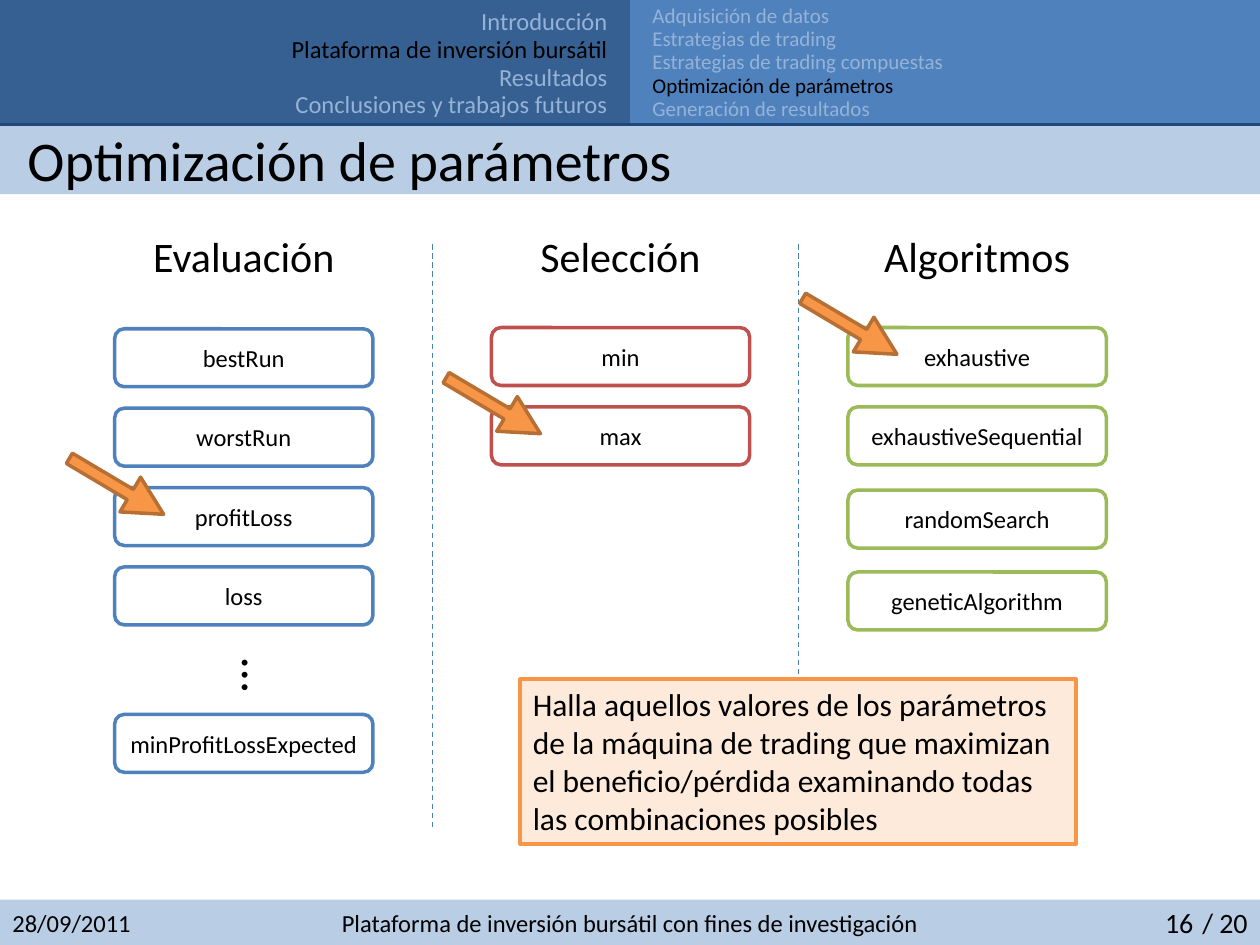
"""Build the slide on parameter optimisation: evaluation, selection and algorithms."""
from lxml.etree import SubElement
from pptx import Presentation
from pptx.dml.color import RGBColor
from pptx.enum.dml import MSO_LINE
from pptx.enum.shapes import MSO_CONNECTOR, MSO_SHAPE
from pptx.enum.text import MSO_ANCHOR, PP_ALIGN
from pptx.oxml.ns import qn
from pptx.util import Inches, Pt

FONT = "Calibri"
COLORS = {
    "black": "000000", "white": "FFFFFF", "muted": "95B3D7", "navy": "376092",
    "blue": "4F81BD", "pale": "B9CDE5", "rule": "1F497D", "divider": "4B7EBC",
    "red": "C0504D", "green": "9BBB59", "orange": "F79646",
    "brown": "B76F34", "peach": "FDEADA",
}
LEFT, CENTER, RIGHT = PP_ALIGN.LEFT, PP_ALIGN.CENTER, PP_ALIGN.RIGHT
TOP, MIDDLE = MSO_ANCHOR.TOP, MSO_ANCHOR.MIDDLE

BANDS = [
    (0, 0, 10, 0.99, "blue"),
    (0, 0, 5, 0.99, "navy"),
    (0, 7.14, 10, 0.36, "pale"),
    (0, 0.99, 10, 0.55, "pale"),
]
MENUS = [
    {"left": 0, "top": 0, "step": 0.22, "height": 0.34, "size": 14, "align": RIGHT,
     "current": "Plataforma de inversión bursátil",
     "items": ["Introducción", "Plataforma de inversión bursátil", "Resultados",
               "Conclusiones y trabajos futuros"]},
    {"left": 5.08, "top": -0.03, "step": 0.185, "height": 0.3, "size": 12, "align": LEFT,
     "current": "Optimización de parámetros",
     "items": ["Adquisición de datos", "Estrategias de trading",
               "Estrategias de trading compuestas", "Optimización de parámetros",
               "Generación de resultados"]},
]
TITLE = "Optimización de parámetros"
COLUMNS = [
    {"heading": "Evaluación", "left": 0.91, "color": "blue", "chosen": "profitLoss",
     "options": [("bestRun", 2.61), ("worstRun", 3.24), ("profitLoss", 3.87),
                 ("loss", 4.5), ("minProfitLossExpected", 5.67)]},
    {"heading": "Selección", "left": 3.9, "color": "red", "chosen": "max",
     "options": [("min", 2.6), ("max", 3.23)]},
    {"heading": "Algoritmos", "left": 6.73, "color": "green", "chosen": "exhaustive",
     "options": [("exhaustive", 2.6), ("exhaustiveSequential", 3.23),
                 ("randomSearch", 3.89), ("geneticAlgorithm", 4.54)]},
]
DIVIDERS = [3.43, 6.34]
SUMMARY = ("Halla aquellos valores de los parámetros de la máquina de trading que maximizan "
           "el beneficio/pérdida examinando todas las combinaciones posibles")
FOOTER = [
    ("28/09/2011", 0, 2.33, 14, LEFT),
    ("Plataforma de inversión bursátil con fines de investigación", 2.4, 5.2, 14, CENTER),
    ("16", 7.67, 1.9, 16, RIGHT),
    ("/ 20", 9.41, 0.59, 16, RIGHT),
]
OPTION_WIDTH, OPTION_HEIGHT = 2.05, 0.46
HEADING_WIDTH = 2.44


def rgb(name):
    return RGBColor.from_string(COLORS[name])


def write(shape, text, size, align=LEFT, anchor=TOP, color="black", wrap=True):
    frame = shape.text_frame
    frame.word_wrap = wrap
    frame.vertical_anchor = anchor
    para = frame.paragraphs[0]
    para.alignment = align
    span = para.add_run()
    span.text = text
    span.font.name, span.font.size = FONT, Pt(size)
    span.font.color.rgb = rgb(color)


def add_text(page, area, text, size, **style):
    box = page.shapes.add_textbox(*map(Inches, area))
    write(box, text, size, **style)
    return box


def add_box(page, kind, area, fill, line=None, width=2):
    box = page.shapes.add_shape(kind, *map(Inches, area))
    box.shadow.inherit = False
    box.fill.solid()
    box.fill.fore_color.rgb = rgb(fill)
    if line:
        box.line.color.rgb = rgb(line)
        box.line.width = Pt(width)
    else:
        box.line.fill.background()
    return box


def add_line(page, ends, color, width, dash=None):
    line = page.shapes.add_connector(MSO_CONNECTOR.STRAIGHT, *map(Inches, ends))
    line.line.color.rgb = rgb(color)
    line.line.width = Pt(width)
    if dash:
        line.line.dash_style = dash
    SubElement(line._element.spPr, qn("a:effectLst"))


def add_frame(page):
    for *area, color in BANDS:
        add_box(page, MSO_SHAPE.RECTANGLE, area, color)
    add_line(page, (0, 0.99, 10, 0.99), "rule", 1.5)
    add_text(page, (0.12, 0.99, 9.76, 0.55), TITLE, 32, anchor=MIDDLE)
    for text, left, width, size, align in FOOTER:
        add_text(page, (left, 7.14, width, 0.36), text, size, align=align, anchor=MIDDLE)
    for menu in MENUS:
        for row, item in enumerate(menu["items"]):
            area = (menu["left"], menu["top"] + row * menu["step"], 4.92, menu["height"])
            color = "black" if item == menu["current"] else "muted"
            add_text(page, area, item, menu["size"], align=menu["align"], color=color)


def add_column(page, column):
    left = column["left"]
    heading_left = left + (OPTION_WIDTH - HEADING_WIDTH) / 2
    add_text(page, (heading_left, 1.78, HEADING_WIDTH, 0.5), column["heading"], 24,
             align=CENTER)
    for label, top in column["options"]:
        option = add_box(page, MSO_SHAPE.ROUNDED_RECTANGLE,
                         (left, top, OPTION_WIDTH, OPTION_HEIGHT), "white", column["color"])
        write(option, label, 14, align=CENTER, anchor=MIDDLE)
    chosen_top = dict(column["options"])[column["chosen"]]
    arrow = add_box(page, MSO_SHAPE.RIGHT_ARROW,
                    (left - 0.42, chosen_top - 0.17, 0.87, 0.32), "orange", "brown")
    arrow.adjustments[0], arrow.adjustments[1] = 0.295, 0.961
    arrow.rotation = 30.7


def main():
    deck = Presentation()
    deck.slide_width, deck.slide_height = Inches(10), Inches(7.5)
    page = deck.slides.add_slide(deck.slide_layouts[6])
    add_frame(page)
    for x in DIVIDERS:
        add_line(page, (x, 1.94, x, 6.58), "divider", 0.75, MSO_LINE.DASH)
    for column in COLUMNS:
        add_column(page, column)
    ellipsis = add_text(page, (1.69, 5.13, 0.67, 0.37), "…", 28, wrap=False)
    ellipsis.text_frame._txBody.bodyPr.set("vert", "vert")
    summary = add_box(page, MSO_SHAPE.RECTANGLE, (4.13, 5.39, 4.41, 1.31),
                      "peach", "orange", 2.25)
    write(summary, SUMMARY, 18)
    deck.save("out.pptx")


if __name__ == "__main__":
    main()
